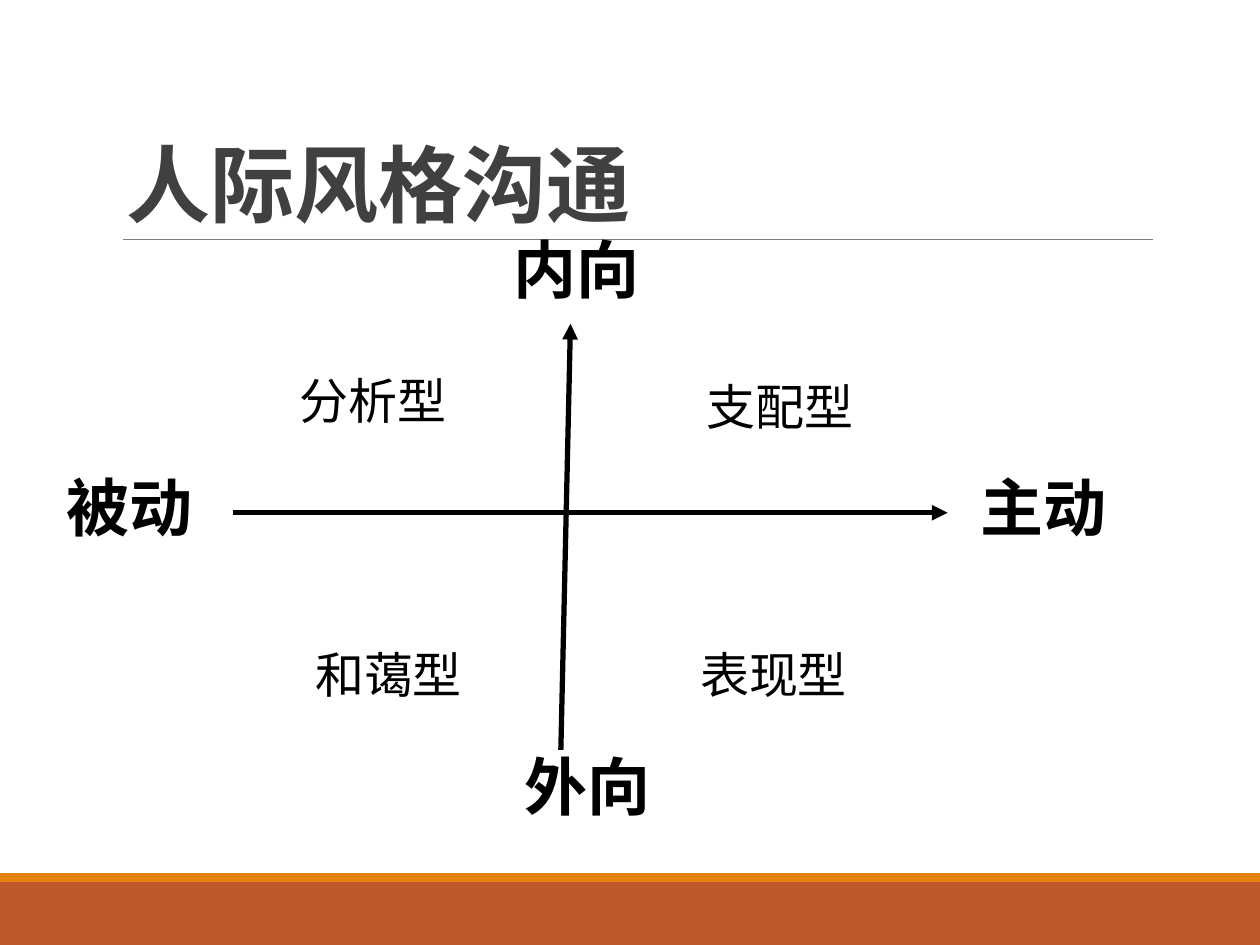
from lxml import etree
from pptx import Presentation
from pptx.dml.color import RGBColor
from pptx.enum.shapes import MSO_CONNECTOR as Connector, MSO_SHAPE as Shape
from pptx.enum.text import MSO_ANCHOR as Anchor
from pptx.oxml.ns import qn
from pptx.util import Pt

COLORS = {
    "band": "BD582C",
    "stripe": "E48312",
    "rule": "7F7F7F",
    "title": "404040",
    "ink": "000000",
}
TITLE = {"name": "Calibri", "size": Pt(48), "bold": True}
POLE = {"name": "Arial", "size": Pt(36), "bold": True}
STYLE = {"name": "Arial", "size": Pt(28), "bold": False}

# Text, left, top, width
POLES = [
    ("被动", 31, 264, 91),
    ("主动", 553, 264, 91),
    ("内向", 286.5, 128, 144),
    ("外向", 292.5, 423.5, 147.5),
]
STYLES = [
    ("分析型", 164, 208, 110),
    ("支配型", 396.5, 211.5, 100),
    ("和蔼型", 173, 364.5, 113),
    ("表现型", 393, 364.5, 137),
]


def color(name):
    return RGBColor.from_string(COLORS[name])


def add_bar(slide, top, height, fill):
    """Add a full-width bar."""
    bar = slide.shapes.add_shape(Shape.RECTANGLE, 0, Pt(top), Pt(720), Pt(height))
    bar.shadow.inherit = False
    bar.fill.solid()
    bar.fill.fore_color.rgb = color(fill)
    bar.line.fill.background()


def add_line(slide, start, end, ink, width, arrow=False):
    points = [Pt(value) for value in (*start, *end)]
    line = slide.shapes.add_connector(Connector.STRAIGHT, *points)
    line.line.color.rgb = color(ink)
    line.line.width = Pt(width)
    if arrow:
        etree.SubElement(line.line._get_or_add_ln(), qn("a:tailEnd"), type="triangle")
    etree.SubElement(line._element.spPr, qn("a:effectLst"))


def add_text(slide, text, box, font_format, ink="ink", anchor=Anchor.TOP, spacing=1.0):
    shape = slide.shapes.add_textbox(*[Pt(value) for value in box])
    frame = shape.text_frame
    frame.word_wrap = True
    frame.vertical_anchor = anchor
    paragraph = frame.paragraphs[0]
    paragraph.line_spacing = spacing
    run = paragraph.add_run()
    run.text = text
    for name, value in font_format.items():
        setattr(run.font, name, value)
    run.font.color.rgb = color(ink)


def main():
    presentation = Presentation()
    presentation.slide_width, presentation.slide_height = Pt(720), Pt(540)
    slide = presentation.slides.add_slide(presentation.slide_layouts[6])

    add_bar(slide, 504, 36, "band")
    add_bar(slide, 499, 5, "stripe")
    add_line(slide, (70.5, 137), (659, 137), "rule", 0.5)
    add_text(slide, "人际风格沟通", (65, 22.5, 594, 114.5), TITLE,
             "title", Anchor.BOTTOM, 0.85)

    add_line(slide, (133, 293), (541.5, 293), "ink", 3, arrow=True)
    add_line(slide, (320.5, 428.5), (326, 185), "ink", 3, arrow=True)
    for labels, height, font_format in ((POLES, 50.5, POLE), (STYLES, 41, STYLE)):
        for text, left, top, width in labels:
            add_text(slide, text, (left, top, width, height), font_format)

    presentation.save("out.pptx")


if __name__ == "__main__":
    main()
